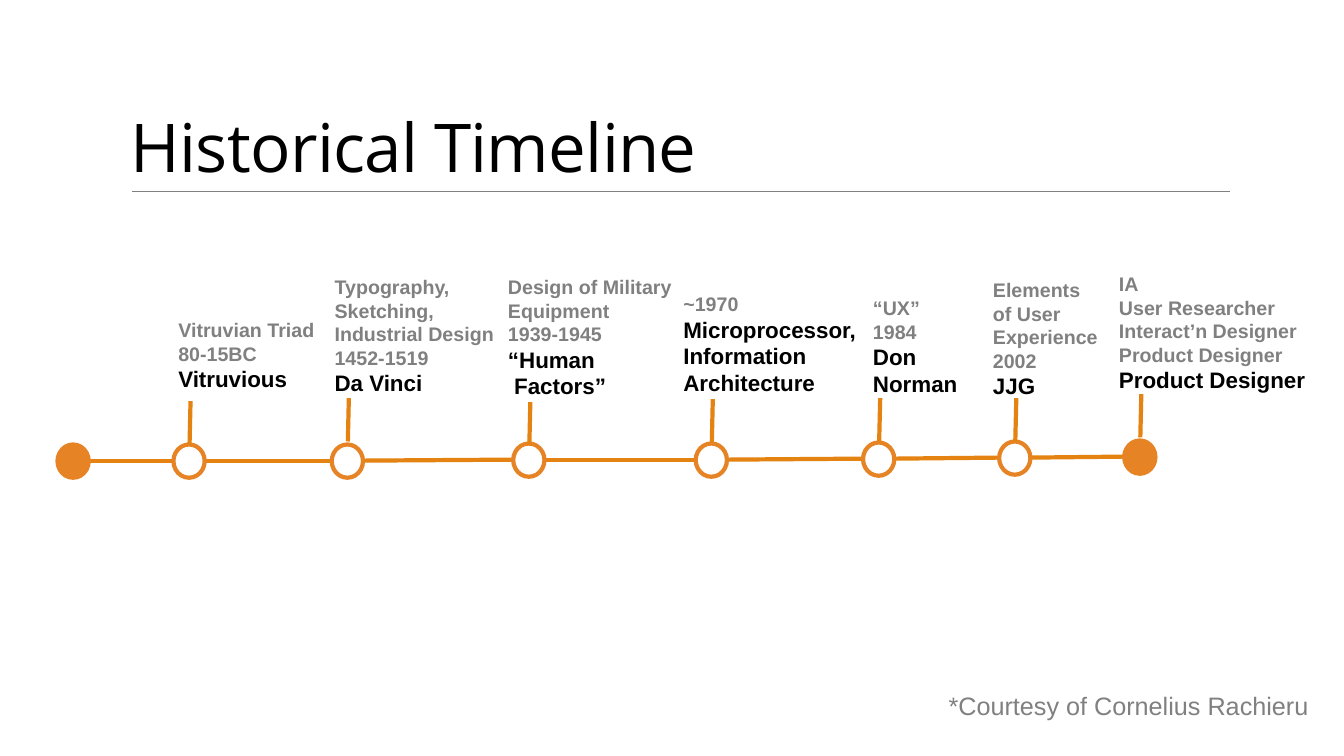
from itertools import pairwise

from lxml.etree import SubElement
from pptx import Presentation
from pptx.dml.color import RGBColor
from pptx.enum.shapes import MSO_CONNECTOR, MSO_SHAPE
from pptx.enum.text import MSO_ANCHOR, MSO_AUTO_SIZE
from pptx.oxml.ns import qn
from pptx.util import Emu, Pt

PX = 9144
COLORS = {
    "white": "FFFFFF",
    "black": "000000",
    "gray": "808080",
    "line": "E48312",
    "dot": "E68325",
}
DOT_W, DOT_H = 31, 33
STEM_H = 43

# Each dot: left, top, filled
DOTS = [
    (57, 441, True),
    (172, 441, False),
    (329, 441, False),
    (509, 440, False),
    (690, 440, False),
    (856, 439, False),
    (991, 438, False),
    (1115, 437, True),
]
# Each event: stem top, label box, gray lines, black lines
EVENTS = [
    (398, (167, 311, 155, 84), ["Vitruvian Triad", "80-15BC"], ["Vitruvious"]),
    (395, (322, 268, 178, 131),
     ["Typography, Sketching,", "Industrial Design", "1452-1519"], ["Da Vinci"]),
    (399, (494, 268, 213, 135),
     ["Design of Military Equipment", "1939-1945"], ["“Human", " Factors”"]),
    (396, (668, 285, 230, 114),
     ["~1970"], ["Microprocessor,", "Information Architecture"]),
    (395, (856, 289, 151, 111), ["“UX”", "1984"], ["Don Norman"]),
    (395, (975, 271, 124, 131),
     ["Elements", "of User", "Experience", "2002"], ["JJG"]),
    (391, (1100, 265, 207, 131),
     ["IA", "User Researcher", "Interact’n Designer", "Product Designer"],
     ["Product Designer"]),
]


def px(n):
    """Turn px into EMU."""
    return Emu(n * PX)


def rgb(name):
    """Look up a named colour."""
    return RGBColor.from_string(COLORS[name])


def add_line(s, x1, y1, x2, y2, color="line", width=3):
    """Draw a straight line without a shadow."""
    c = s.shapes.add_connector(MSO_CONNECTOR.STRAIGHT, px(x1), px(y1), px(x2), px(y2))
    c.line.color.rgb = rgb(color)
    c.line.width = Pt(width)
    SubElement(c._element.spPr, qn("a:effectLst"))


def add_dot(s, x, y, filled):
    """Draw a filled or hollow timeline dot."""
    sp = s.shapes.add_shape(MSO_SHAPE.OVAL, px(x), px(y), px(DOT_W), px(DOT_H))
    sp.shadow.inherit = False
    if filled:
        sp.fill.solid()
        sp.fill.fore_color.rgb = rgb("dot")
    else:
        sp.fill.background()
    sp.line.color.rgb = rgb("dot")
    sp.line.width = Pt(3)


def add_text(s, box, lines, font="Arial", bold=False):
    """Add a wrapped text box from (text, size, colour) lines."""
    tf = s.shapes.add_textbox(*map(px, box)).text_frame
    tf.word_wrap = True
    tf.auto_size = MSO_AUTO_SIZE.SHAPE_TO_FIT_TEXT
    for i, (text, size, color) in enumerate(lines):
        p = tf.add_paragraph() if i else tf.paragraphs[0]
        p.add_run().text = text
        p.font.name = font
        p.font.size = Pt(size)
        p.font.bold = bold
        p.font.color.rgb = rgb(color)
    return tf


def add_title(s, text):
    """Add the slide title and the rule below it."""
    add_line(s, 131, 190, 1220, 190, "gray", 0.5)
    tf = add_text(s, (120, 86, 1100, 104), [(text, 48, "black")], "Open Sans")
    tf.auto_size = MSO_AUTO_SIZE.NONE
    tf.vertical_anchor = MSO_ANCHOR.BOTTOM
    p = tf.paragraphs[0]
    p.line_spacing = 0.85
    p.runs[0]._r.get_or_add_rPr().set("spc", "-50")


def add_event(s, dot, event):
    """Add the stem and label above a dot."""
    x = dot[0] + DOT_W // 2
    top, box, gray, black = event
    add_line(s, x + 1, top + STEM_H, x + 2, top)
    lines = [(t, 14, "gray") for t in gray] + [(t, 16, "black") for t in black]
    add_text(s, box, lines, bold=True)


def main():
    """Build the timeline slide."""
    prs = Presentation()
    prs.slide_width, prs.slide_height = px(1333), px(750)
    s = prs.slides.add_slide(prs.slide_layouts[6])
    s.background.fill.solid()
    s.background.fill.fore_color.rgb = rgb("white")
    add_title(s, "Historical Timeline")
    mid = DOT_H // 2
    for (x1, y1, _), (x2, y2, _) in pairwise(DOTS):
        add_line(s, x1 + DOT_W, y1 + mid, x2, y2 + mid)
    for dot in DOTS:
        add_dot(s, *dot)
    for dot, event in zip(DOTS[1:], EVENTS):
        add_event(s, dot, event)
    add_text(s, (931, 680, 379, 40), [("*Courtesy of Cornelius Rachieru", 18, "gray")])
    prs.save("out.pptx")


if __name__ == "__main__":
    main()
